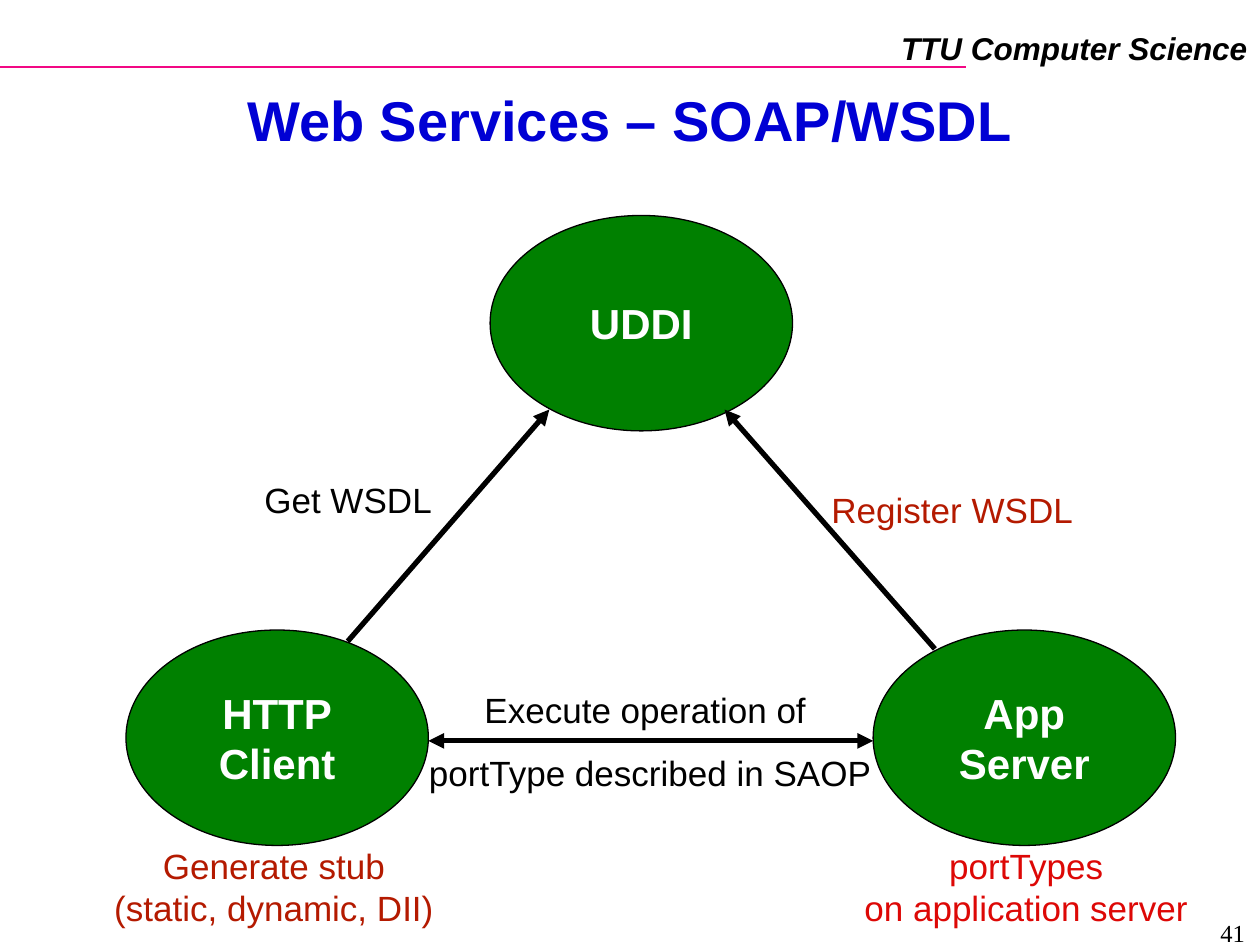
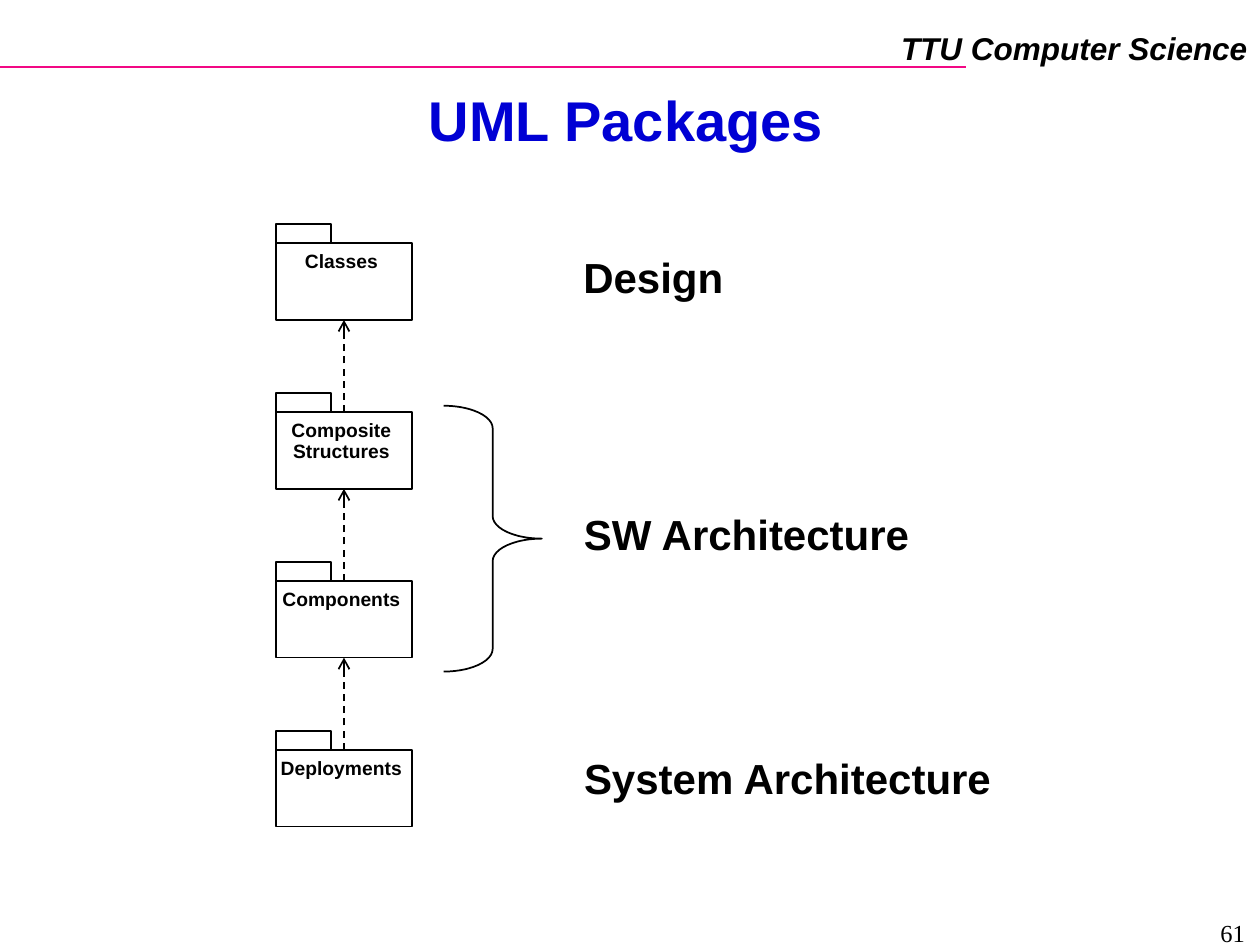
from itertools import pairwise

from pptx import Presentation
from pptx import util as u
from pptx.dml.color import RGBColor
from pptx.enum import dml, shapes, text
from pptx.oxml.ns import qn
from lxml import etree

PX = u.Inches(0.01)
BLACK, WHITE, BLUE, GREEN = "000000", "FFFFFF", "0000D4", "008000"
PINK, RUST, RED = "F20884", "B41A00", "DD0806"
HEADER = "TTU Computer Science"
TITLE_TOP, TITLE_WIDTH, TITLE_HEIGHT = 71, 900, 55

# Web services: nodes, arrows between them, captions
NODE_WIDTH, NODE_HEIGHT = 240, 171
NODES = [(["UDDI"], 389, 171), (["App", "Server"], 693, 500), (["HTTP", "Client"], 100, 500)]
MESSAGES = [  # start, end, arrowhead at start
    ((276, 509), (436, 325), None),
    ((742, 515), (575, 325), None),
    ((340, 588), (693, 588), "triangle"),
]
LEFT, CENTER, RIGHT = text.PP_ALIGN.LEFT, text.PP_ALIGN.CENTER, text.PP_ALIGN.RIGHT
CAPTIONS = [  # lines, box, format
    (["Get WSDL"], (200, 375, 153, 44), dict(align=LEFT)),
    (["Register WSDL"], (650, 383, 212, 44), dict(align=LEFT, color=RUST)),
    (["Execute operation of ", "portType described in SAOP"], (330, 525, 372, 110), dict(spacing=1.5)),
    (["portTypes", "on application server"], (676, 665, 277, 77), dict(color=RED)),
    (["Generate stub", "(static, dynamic, DII)"], (81, 665, 273, 77), dict(color=RUST)),
]

# UML packages, from top to bottom, and the level each belongs to
PACKAGES = [["Classes"], ["Composite", "Structures"], ["Components"], ["Deployments"]]
PACKAGE_LEFT, PACKAGE_TOP, PACKAGE_STEP = 219, 193, 134
PACKAGE_WIDTH, PACKAGE_HEIGHT, TAB_WIDTH, TAB_HEIGHT = 108, 61, 44, 15
LABEL_LEFT, LABEL_WIDTH, LABEL_HEIGHT = 213, 116, 27
LEVELS = [("Design", 199, 131), ("SW Architecture", 403, 279), ("System Architecture", 597, 344)]
LEVEL_LEFT, LEVEL_HEIGHT = 453, 46
BRACE = (352, 322, 78, 211)


def rgb(color):
    return RGBColor.from_string(color)


def emu(*lengths):
    return [length * PX for length in lengths]


def write(shape, lines, size=20, color=BLACK, font="Arial", bold=False, italic=False,
          align=CENTER, spacing=None, anchor=text.MSO_ANCHOR.TOP, wrap=False):
    frame = shape.text_frame
    frame.auto_size = text.MSO_AUTO_SIZE.NONE
    frame.word_wrap = wrap
    frame.vertical_anchor = anchor
    frame.text = "\n".join(lines)
    for paragraph in frame.paragraphs:
        paragraph.alignment = align
        paragraph.line_spacing = spacing
        style = paragraph.font
        style.name, style.size = font, u.Pt(size)
        style.bold, style.italic = bold, italic
        style.color.rgb = rgb(color)


def add_text(slide, lines, box, **style):
    write(slide.shapes.add_textbox(*emu(*box)), lines, **style)


def add_outline(slide, kind, box, fill=None, width=1):
    """Add a preset shape with a black outline, unfilled unless a fill is given."""
    shape = slide.shapes.add_shape(kind, *emu(*box))
    shape.shadow.inherit = False
    if fill:
        shape.fill.solid()
        shape.fill.fore_color.rgb = rgb(fill)
    else:
        shape.fill.background()
    shape.line.color.rgb = rgb(BLACK)
    shape.line.width = u.Pt(width)
    return shape


def add_line(slide, start, end, color=BLACK, width=1, dash=None, head=None, tail=None):
    connector = slide.shapes.add_connector(shapes.MSO_CONNECTOR.STRAIGHT, *emu(*start, *end))
    line = connector.line
    line.color.rgb = rgb(color)
    line.width = u.Pt(width)
    if dash:
        line.dash_style = dash
    properties = connector.element.spPr
    outline = properties.find(qn("a:ln"))
    for name, arrow in (("a:headEnd", head), ("a:tailEnd", tail)):
        if arrow:
            etree.SubElement(outline, qn(name), type=arrow)
    etree.SubElement(properties, qn("a:effectLst"))
    return connector


def add_slide(presentation, title, title_left, number):
    """Add a slide with the header band, title and page number."""
    slide = presentation.slides.add_slide(presentation.slide_layouts[5])
    add_line(slide, (0, 53), (767, 53), color=PINK)
    add_text(slide, [HEADER], (705, 18, 295, 40), size=18, bold=True, italic=True, align=RIGHT)
    heading = slide.shapes.title
    heading.left, heading.top, heading.width, heading.height = emu(
        title_left, TITLE_TOP, TITLE_WIDTH, TITLE_HEIGHT)
    write(heading, [title], size=32, color=BLUE, bold=True, spacing=0.87,
          anchor=text.MSO_ANCHOR.MIDDLE, wrap=True)
    add_text(slide, [number], (765, 724, 233, 22), size=14, font="Times New Roman",
             align=RIGHT, wrap=True)
    return slide


def build_web_services(presentation):
    slide = add_slide(presentation, "Web Services – SOAP/WSDL", 50, "41")
    for lines, left, top in NODES:
        node = add_outline(slide, shapes.MSO_SHAPE.OVAL, (left, top, NODE_WIDTH, NODE_HEIGHT),
                           fill=GREEN, width=0.75)
        write(node, lines, size=24, color=WHITE, bold=True, anchor=text.MSO_ANCHOR.MIDDLE)
    for start, end, head in MESSAGES:
        add_line(slide, start, end, width=3, head=head, tail="triangle")
    for lines, box, style in CAPTIONS:
        add_text(slide, lines, box, **style)


def build_packages(presentation):
    slide = add_slide(presentation, "UML Packages ", 53, "61")
    for level, top, width in LEVELS:
        add_text(slide, [level], (LEVEL_LEFT, top, width, LEVEL_HEIGHT),
                 size=24, bold=True, spacing=0.9)
    bodies = []
    rectangle = shapes.MSO_SHAPE.RECTANGLE
    for index, lines in enumerate(PACKAGES):
        top = PACKAGE_TOP + index * PACKAGE_STEP
        bodies.append(add_outline(slide, rectangle,
                                  (PACKAGE_LEFT, top, PACKAGE_WIDTH, PACKAGE_HEIGHT)))
        add_outline(slide, rectangle, (PACKAGE_LEFT, top - TAB_HEIGHT, TAB_WIDTH, TAB_HEIGHT))
        add_text(slide, lines, (LABEL_LEFT, top + 2, LABEL_WIDTH, LABEL_HEIGHT * len(lines)),
                 size=11, bold=True, spacing=0.9)
    for upper, lower in pairwise(bodies):
        dependency = add_line(slide, (0, 0), (0, 0), dash=dml.MSO_LINE.DASH, tail="arrow")
        dependency.begin_connect(lower, 0)
        dependency.end_connect(upper, 2)
    brace = add_outline(slide, shapes.MSO_SHAPE.RIGHT_BRACE, BRACE)
    brace.adjustments[0] = 0.23


def main():
    presentation = Presentation()
    presentation.slide_width, presentation.slide_height = emu(1000, 750)
    build_web_services(presentation)
    build_packages(presentation)
    presentation.save("out.pptx")


if __name__ == "__main__":
    main()
